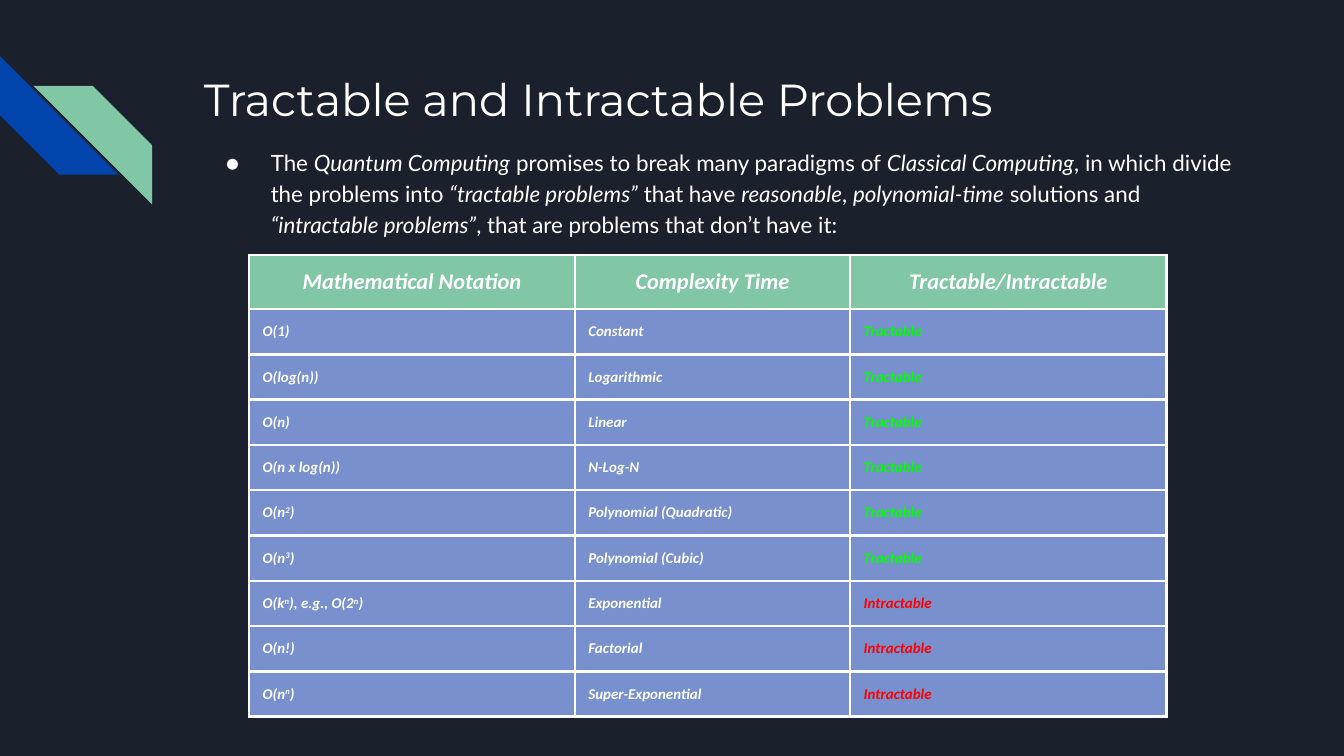
from lxml import etree
from pptx import Presentation
from pptx.dml.color import RGBColor
from pptx.enum import shapes, text
from pptx.oxml import ns
from pptx.util import Pt

WHITE, GREEN, BLUE = "FFFFFF", "82C7A5", "0145AC"
HEADERS = ["Mathematical Notation", "Complexity Time", "Tractable/Intractable"]
COMPLEXITIES = [
    ("O(1)", "Constant", True),
    ("O(log(n))", "Logarithmic", True),
    ("O(n)", "Linear", True),
    ("O(n x log(n))", "N-Log-N", True),
    ("O(n|2|)", "Polynomial (Quadratic)", True),
    ("O(n|3|)", "Polynomial (Cubic)", True),
    ("O(k|n|), e.g., O(2|n|)", "Exponential", False),
    ("O(n!)", "Factorial", False),
    ("O(n|n|)", "Super-Exponential", False),
]
INTRO = (
    "The |Quantum Computing| promises to break many paradigms of "
    "|Classical Computing|, in which divide the problems into "
    "|“tractable problems”| that have |reasonable|, |polynomial-time| "
    "solutions and |“intractable problems”|, that are problems that "
    "don’t have it:"
)


def rgb(value):
    return RGBColor.from_string(value)


def add_element(parent, tag, **attrs):
    el = etree.SubElement(parent, ns.qn(tag))
    for name, value in attrs.items():
        el.set(name, str(value))
    return el


def write(p, content, size=12, font="Lato", color=WHITE, bold=False,
          italic=False, align=text.PP_ALIGN.LEFT, marked="italic"):
    p.alignment = align
    for i, part in enumerate(content.split("|")):
        r = p.add_run()
        r.text = part
        r.font.size = Pt(size)
        r.font.name = font
        r.font.color.rgb = rgb(color)
        r.font.bold = bold
        r.font.italic = italic
        if i % 2 and marked == "italic":
            r.font.italic = True
        elif i % 2:
            r.font._element.set("baseline", "30000")


def place(sp, left, top, width, height):
    sp.left, sp.top = Pt(left), Pt(top)
    sp.width, sp.height = Pt(width), Pt(height)


def set_frame(tf):
    tf.auto_size = text.MSO_AUTO_SIZE.NONE
    tf.word_wrap = True
    tf.vertical_anchor = text.MSO_ANCHOR.TOP
    tf.margin_left = tf.margin_right = Pt(7.2)
    tf.margin_top = tf.margin_bottom = Pt(7.2)


def add_stripe(slide, left, top, color, rotation=0, flip=False):
    sp = slide.shapes.add_shape(shapes.MSO_SHAPE.DIAGONAL_STRIPE,
                                Pt(left), Pt(top), Pt(63.5), Pt(63.5))
    sp.adjustments[0] = 0.5
    sp.rotation = rotation
    sp.shadow.inherit = False
    sp.fill.solid()
    sp.fill.fore_color.rgb = rgb(color)
    sp.line.fill.background()
    if flip:
        sp._element.spPr.xfrm.set("flipH", "1")


def add_title(slide, content):
    sp = slide.shapes.title
    place(sp, 102, 31, 554.5, 37.5)
    set_frame(sp.text_frame)
    write(sp.text_frame.paragraphs[0], content, size=24, font="Montserrat")


def add_bullet_text(slide, content):
    sp = slide.shapes.add_textbox(Pt(102), Pt(70.5), Pt(570.5), Pt(55.5))
    set_frame(sp.text_frame)
    p = sp.text_frame.paragraphs[0]
    p.line_spacing = 1.15
    write(p, content)
    pPr = p._p.get_or_add_pPr()
    pPr.set("marL", str(Pt(36)))
    pPr.set("indent", str(-Pt(24)))
    color = add_element(pPr, "a:buClr")
    add_element(color, "a:srgbClr", val=WHITE)
    add_element(pPr, "a:buFont", typeface="Lato")
    add_element(pPr, "a:buChar", char="●")


def format_cell(cell, content, fill, **kwargs):
    cell.margin_left = cell.margin_right = Pt(7.2)
    cell.margin_top = cell.margin_bottom = Pt(7.2)
    write(cell.text_frame.paragraphs[0], content, font="Calibri",
          bold=True, italic=True, marked="superscript", **kwargs)
    tcPr = cell._tc.get_or_add_tcPr()
    for side in ("a:lnL", "a:lnR", "a:lnT", "a:lnB"):
        ln = add_element(tcPr, side, w=Pt(1.5))
        solid = add_element(ln, "a:solidFill")
        add_element(solid, "a:srgbClr", val=WHITE)
    cell.fill.solid()
    cell.fill.fore_color.rgb = rgb(fill)


def add_complexity_table(slide):
    widths = [174.5, 147.5, 169.5]
    heights = [29] + [24] * len(COMPLEXITIES)
    table = slide.shapes.add_table(len(heights), len(widths), Pt(133.5), Pt(136.5),
                                   Pt(sum(widths)), Pt(sum(heights))).table
    table.horz_banding = False
    for column, width in zip(table.columns, widths):
        column.width = Pt(width)
    for row, height in zip(table.rows, heights):
        row.height = Pt(height)
    for i, header in enumerate(HEADERS):
        format_cell(table.cell(0, i), header, GREEN, align=text.PP_ALIGN.CENTER)
    for i, (notation, name, tractable) in enumerate(COMPLEXITIES, 1):
        verdict, color = ("Tractable", "00FF00") if tractable else ("Intractable", "FF0000")
        columns = [(notation, WHITE), (name, WHITE), (verdict, color)]
        for j, (content, font_color) in enumerate(columns):
            format_cell(table.cell(i, j), content, "7890CD", size=8, color=font_color)


def main():
    prs = Presentation()
    prs.slide_width, prs.slide_height = Pt(720), Pt(405)
    slide = prs.slides.add_slide(prs.slide_layouts[5])
    slide.background.fill.solid()
    slide.background.fill.fore_color.rgb = rgb("1B212C")
    add_stripe(slide, 0, 30, BLUE, rotation=270)
    add_stripe(slide, 18, 46, GREEN, flip=True)
    add_title(slide, "Tractable and Intractable Problems")
    add_bullet_text(slide, INTRO)
    add_complexity_table(slide)
    prs.save("out.pptx")


if __name__ == "__main__":
    main()
